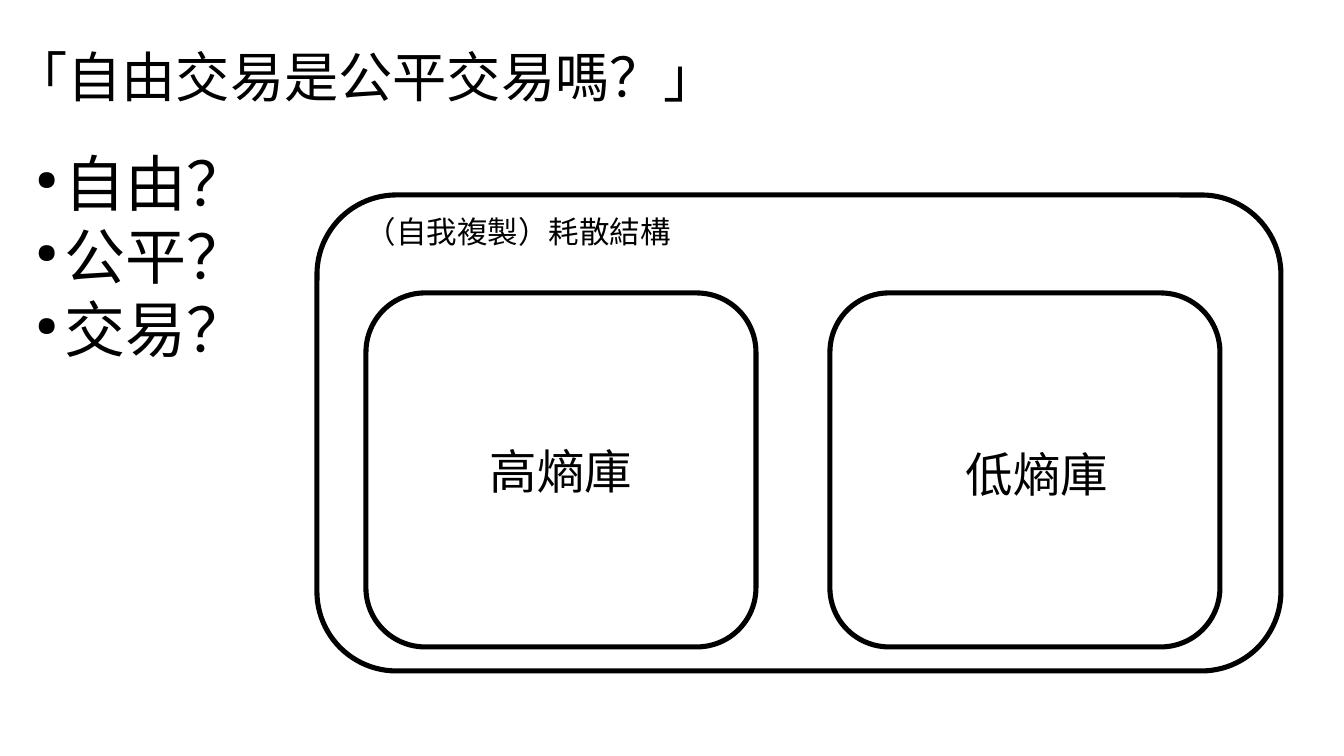
from dataclasses import dataclass

from lxml.etree import SubElement
from pptx import Presentation
from pptx.dml.color import RGBColor
from pptx.enum.shapes import MSO_SHAPE
from pptx.enum.text import MSO_ANCHOR, PP_ALIGN
from pptx.oxml.ns import qn
from pptx.util import Pt

EMU_PER_PX = 914400 / 122


def px(length):
    return round(length * EMU_PER_PX)


@dataclass(frozen=True)
class Theme:
    ink: str = "000000"
    paper: str = "FFFFFF"
    font: str = "Arial"
    language: str = "zh-CN"
    title: int = 32
    question: int = 36
    store: int = 28
    label: int = 18
    outline: int = 3
    corner: float = 0.167


class SlideBuilder:
    def __init__(self, page, theme):
        self.page = page
        self.theme = theme

    def text(self, left, top, width, height, lines, size,
             align=PP_ALIGN.LEFT, anchor=MSO_ANCHOR.TOP, inset=(12, 6), bulleted=False):
        box = self.page.shapes.add_textbox(px(left), px(top), px(width), px(height))
        frame = box.text_frame
        frame.word_wrap = True
        frame.vertical_anchor = anchor
        frame.margin_left = frame.margin_right = px(inset[0])
        frame.margin_top = frame.margin_bottom = px(inset[1])
        for index, line in enumerate(lines):
            para = frame.add_paragraph() if index else frame.paragraphs[0]
            para.alignment = align
            if bulleted:
                self.bullet(para)
            self.span(para, line, size)

    def span(self, para, line, size):
        span = para.add_run()
        span.text = line
        span.font.size = Pt(size)
        span.font.color.rgb = RGBColor.from_string(self.theme.ink)
        span.font.name = self.theme.font
        properties = span._r.get_or_add_rPr()
        properties.set("lang", self.theme.language)
        SubElement(properties, qn("a:ea"), typeface=self.theme.font)

    def bullet(self, para, indent=29):
        properties = para._p.get_or_add_pPr()
        properties.set("marL", str(px(indent)))
        properties.set("indent", str(-px(indent)))
        color = SubElement(properties, qn("a:buClr"))
        SubElement(color, qn("a:srgbClr"), val=self.theme.ink)
        SubElement(properties, qn("a:buSzPct"), val="45000")
        SubElement(properties, qn("a:buChar"), char="●")

    def rounded(self, left, top, width, height):
        box = self.page.shapes.add_shape(
            MSO_SHAPE.ROUNDED_RECTANGLE, px(left), px(top), px(width), px(height))
        box.adjustments[0] = self.theme.corner
        box.shadow.inherit = False
        box.fill.solid()
        box.fill.fore_color.rgb = RGBColor.from_string(self.theme.paper)
        box.line.color.rgb = RGBColor.from_string(self.theme.ink)
        box.line.width = Pt(self.theme.outline)


def main():
    deck = Presentation()
    deck.slide_width, deck.slide_height = px(1344), px(756)
    theme = Theme()
    slide = SlideBuilder(deck.slides.add_slide(deck.slide_layouts[6]), theme)

    slide.text(0, 12, 732, 127, ["「自由交易是公平交易嗎？」"], theme.title,
               PP_ALIGN.CENTER, MSO_ANCHOR.MIDDLE, inset=(0, 0))
    slide.text(24, 139, 342, 277, ["自由？", "公平？", "交易？"], theme.question,
               bulleted=True)

    slide.rounded(317, 195, 964, 476)
    slide.text(354, 207, 366, 56, ["（自我複製）耗散結構"], theme.label)

    stores = [("高熵庫", 366, 378, 436), ("低熵庫", 830, 854, 439)]
    for name, store_left, name_left, name_top in stores:
        slide.rounded(store_left, 293, 390, 354)
        slide.text(name_left, name_top, 366, 81, [name], theme.store, PP_ALIGN.CENTER)

    deck.save("out.pptx")


if __name__ == "__main__":
    main()
